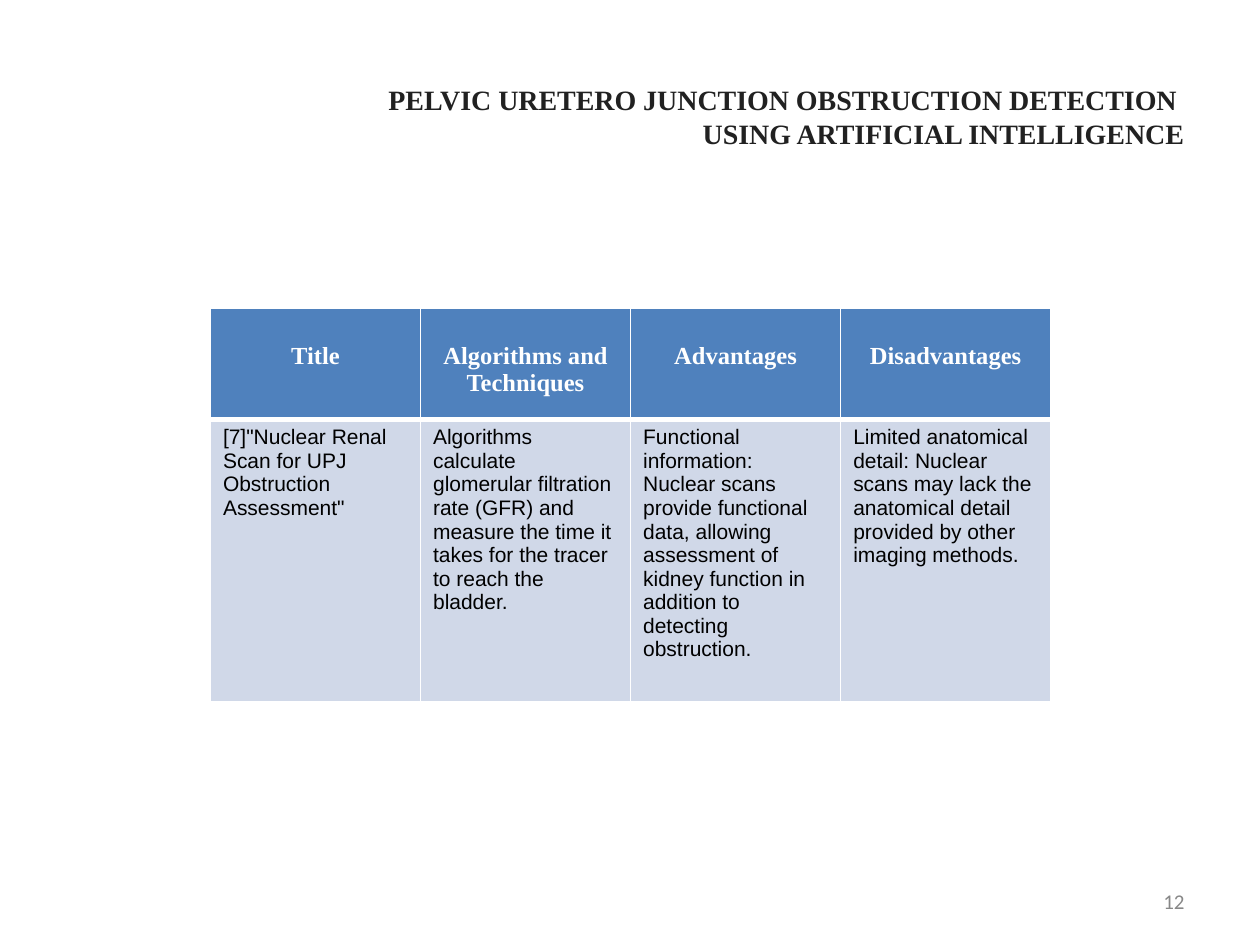
from copy import deepcopy

from lxml import etree
from pptx import Presentation
from pptx import util as u
from pptx.dml.color import RGBColor
from pptx.enum import text
from pptx.oxml import ns

# Content
TITLE = "PELVIC URETERO JUNCTION OBSTRUCTION DETECTION \vUSING ARTIFICIAL INTELLIGENCE"
PAGE_NUMBER = "12"
HEADERS = ["Title", "Algorithms and Techniques", "Advantages", "Disadvantages"]
STUDY = [
    '[7]"Nuclear Renal Scan for UPJ Obstruction Assessment"',
    "Algorithms calculate glomerular filtration rate (GFR) and measure the time it "
    "takes for the tracer to reach the bladder.",
    "Functional information: Nuclear scans provide functional data, allowing "
    "assessment of kidney function in addition to detecting obstruction.",
    "Limited anatomical detail: Nuclear scans may lack the anatomical detail "
    "provided by other imaging methods.",
]
COLORS = {"title": "212121", "number": "888888", "header": "4F81BD",
          "body": "D0D8E8", "white": "FFFFFF", "black": "000000"}
ROW_HEIGHTS = [0.88, 2.24]
TABLE_WIDTH = 6.67
SERIF = "Times New Roman"


def write(frame, words, size, font, color, bold=False, align=text.PP_ALIGN.LEFT):
    frame.word_wrap = True
    para = frame.paragraphs[0]
    para.text = words
    para.alignment = align
    for span in para.runs:
        span.font.size = u.Pt(size)
        span.font.name = font
        span.font.bold = bold
        span.font.color.rgb = RGBColor.from_string(COLORS[color])
    # Line breaks take the format of the text around them
    for line_break in para._p.findall(ns.qn("a:br")):
        line_break.append(deepcopy(para.runs[0]._r.rPr))


def set_borders(cell, **widths):
    properties = cell._tc.get_or_add_tcPr()
    for index, (side, width) in enumerate(widths.items()):
        line = etree.Element(ns.qn(f"a:ln{side}"), w=str(u.Pt(width)))
        fill = etree.SubElement(line, ns.qn("a:solidFill"))
        etree.SubElement(fill, ns.qn("a:srgbClr"), val=COLORS["white"])
        properties.insert(index, line)


def place(shape, left, top, width, height):
    shape.left, shape.top = u.Inches(left), u.Inches(top)
    shape.width, shape.height = u.Inches(width), u.Inches(height)


deck = Presentation()
deck.slide_width, deck.slide_height = u.Inches(10), u.Inches(7.5)
page = deck.slides.add_slide(deck.slide_layouts[5])

# Title
title = page.shapes.title
place(title, 0.5, 0.3, 9, 1.25)
title.text_frame.auto_size = text.MSO_AUTO_SIZE.NONE
title.text_frame.vertical_anchor = text.MSO_ANCHOR.MIDDLE
write(title.text_frame, TITLE, 16, SERIF, "title", bold=True, align=text.PP_ALIGN.RIGHT)

# Page number
number = page.shapes.add_textbox(0, 0, 0, 0)
place(number, 7.17, 6.95, 2.33, 0.4)
number.text_frame.vertical_anchor = text.MSO_ANCHOR.MIDDLE
write(number.text_frame, PAGE_NUMBER, 12, "Calibri", "number", align=text.PP_ALIGN.RIGHT)

# Literature table
table = page.shapes.add_table(
    2, len(HEADERS), u.Inches(1.67), u.Inches(2.45),
    u.Inches(TABLE_WIDTH), u.Inches(sum(ROW_HEIGHTS))).table
for row, height in zip(table.rows, ROW_HEIGHTS):
    row.height = u.Inches(height)
for column, (header, finding) in enumerate(zip(HEADERS, STUDY)):
    table.columns[column].width = u.Inches(TABLE_WIDTH / len(HEADERS))
    head, body = table.cell(0, column), table.cell(1, column)
    for cell, color in ((head, "header"), (body, "body")):
        cell.fill.solid()
        cell.fill.fore_color.rgb = RGBColor.from_string(COLORS[color])
    head.margin_top = u.Inches(0.27)
    write(head.text_frame, header, 14, SERIF, "white", bold=True, align=text.PP_ALIGN.CENTER)
    write(body.text_frame, finding, 12, "Arial", "black")
    set_borders(head, L=1, R=1, T=1, B=3)
    set_borders(body, L=1, R=1, T=3, B=1)

deck.save("out.pptx")
